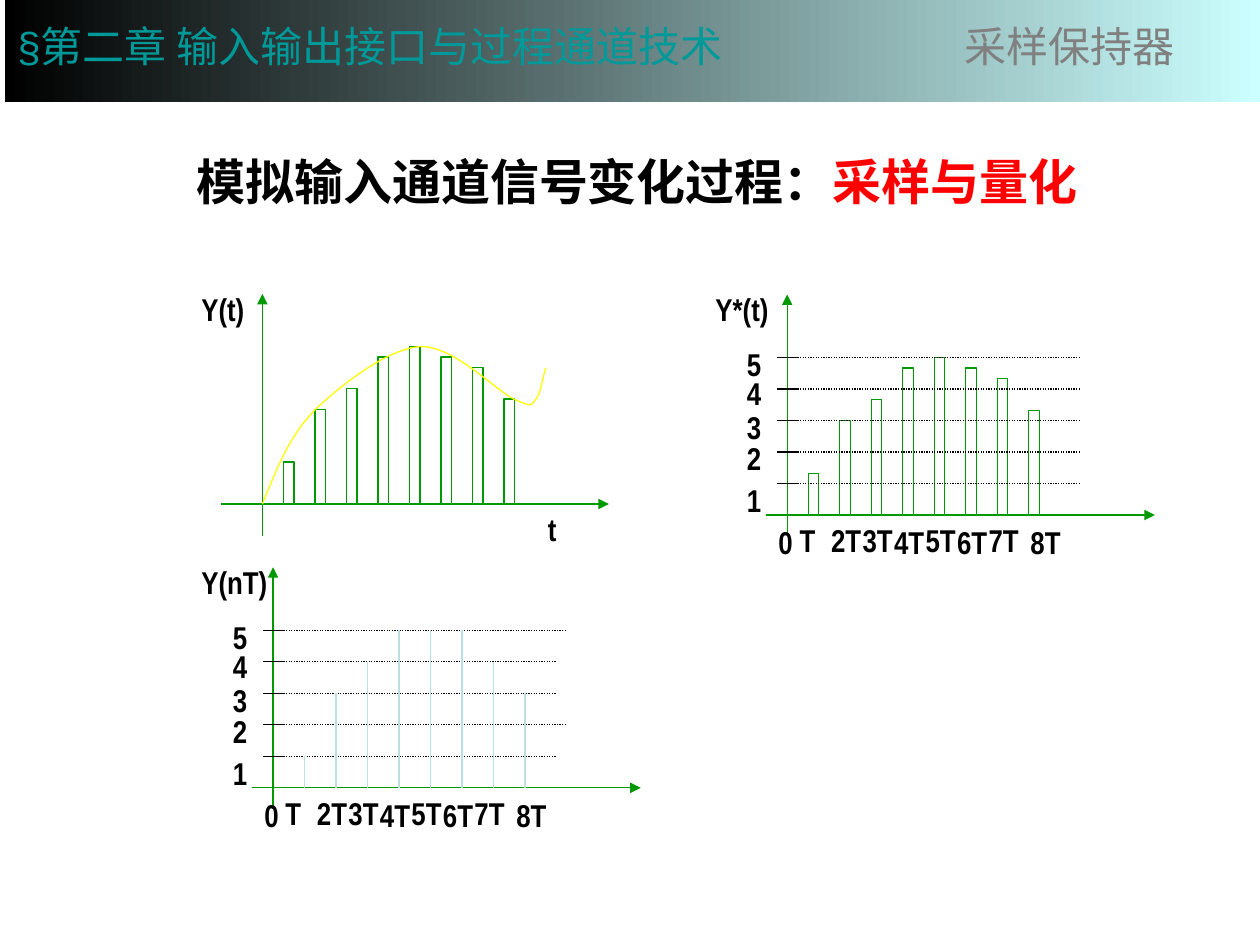
import dataclasses

import pptx
import pptx.dml.color
import pptx.enum.dml
import pptx.enum.shapes
import pptx.enum.text
import pptx.oxml
import pptx.oxml.ns
import pptx.util
from lxml import etree

RGB = pptx.dml.color.RGBColor
BLACK = RGB(0x00, 0x00, 0x00)
RED = RGB(0xFF, 0x00, 0x00)
GREEN = RGB(0x00, 0x99, 0x00)
YELLOW = RGB(0xFF, 0xFF, 0x00)
PALE_BLUE = RGB(0xBB, 0xE0, 0xE3)
PALE_CYAN = RGB(0xCC, 0xFF, 0xFF)
TEAL = RGB(0x00, 0x99, 0x99)
GRAY = RGB(0x80, 0x80, 0x80)

Inches = pptx.util.Inches
Pt = pptx.util.Pt
CELL = 0.25
LABEL_HEIGHT = 0.4
SAMPLES = (1.33, 3, 3.67, 4.67, 5, 4.67, 4.33, 3.33)
QUANTIZED = (1, 3, 4, 5, 5, 5, 4, 3)
LEVEL_LABEL_ROWS = (1.28, 2.6, 3.6, 4.68, 5.6)
SIGNAL_CURVE = (
    ((0, 0), (0.44, 1.08), (0.84, 2.16), (1.68, 3)),
    ((1.68, 3), (2.52, 3.8), (3.96, 4.92), (5, 5)),
    ((5, 5), (6.08, 5.04), (7.4, 3.6), (8, 3.32)),
    ((8, 3.32), (8.64, 3.04), (8.52, 3.16), (8.68, 3.32)),
    ((8.68, 3.32), (8.84, 3.48), (8.92, 4.16), (9, 4.32)),
)


@dataclasses.dataclass
class Plot:
    """A plot whose columns and rows are counted from its origin."""

    shapes: object
    left: float
    top: float
    origin_col: float
    origin_row: float

    def x(self, col):
        """Return the horizontal place of a column."""
        return Inches(self.left + (self.origin_col + col) * CELL)

    def y(self, row):
        """Return the vertical place of a row, counted upwards."""
        return Inches(self.top + (self.origin_row - row) * CELL)


def add_line(plot, start, end, color, dash=None, arrow=False):
    """Draw a straight line between two grid points."""
    line = plot.shapes.add_connector(
        pptx.enum.shapes.MSO_CONNECTOR.STRAIGHT,
        plot.x(start[0]), plot.y(start[1]), plot.x(end[0]), plot.y(end[1]))
    line.line.color.rgb = color
    line.line.width = Pt(0.75)
    if dash:
        line.line.dash_style = dash
    if arrow:
        etree.SubElement(line.line._get_or_add_ln(),
                         pptx.oxml.ns.qn("a:tailEnd"), type="triangle")
    etree.SubElement(line._element.spPr, pptx.oxml.ns.qn("a:effectLst"))


def add_label(plot, col, row, width, text):
    """Write a bold label with its top left corner at a grid point."""
    label = plot.shapes.add_textbox(
        plot.x(col), plot.y(row), Inches(width), Inches(LABEL_HEIGHT))
    label.text_frame.word_wrap = True
    caption = label.text_frame.paragraphs[0]
    caption.text = text
    caption.font.name = "Arial Narrow"
    caption.font.size = Pt(18)
    caption.font.bold = True
    caption.font.color.rgb = BLACK


def add_axes(plot, name, left_col, right_col, bottom_row, top_row):
    """Draw both axes and the name of the vertical one."""
    add_line(plot, (left_col, 0), (right_col, 0), GREEN, arrow=True)
    add_line(plot, (0, bottom_row), (0, top_row), GREEN, arrow=True)
    add_label(plot, -plot.origin_col, plot.origin_row, 1.25, name)


def add_pulses(plot):
    """Draw the sampled pulses as outlined bars."""
    for period, height in enumerate(SAMPLES):
        pulse = plot.shapes.add_shape(
            pptx.enum.shapes.MSO_SHAPE.RECTANGLE,
            plot.x(period + 0.67), plot.y(height),
            Inches(CELL / 3), Inches(height * CELL))
        pulse.shadow.inherit = False
        pulse.fill.background()
        pulse.line.color.rgb = GREEN
        pulse.line.width = Pt(0.75)


def add_scales(plot, guide_ends):
    """Label the periods and levels, with a tick and a guide per level."""
    add_label(plot, -0.67, -0.05, 0.33, "0")
    add_label(plot, 0, 0, 0.42, "T")
    for period in range(2, 9):
        col = 7.33 if period == 8 else period - 1
        row = -0.05 if period in (4, 6, 8) else 0
        add_label(plot, col, row, 0.58, f"{period}T")
    levels = zip(LEVEL_LABEL_ROWS, guide_ends)
    for level, (label_row, guide_end) in enumerate(levels, start=1):
        add_line(plot, (-0.33, level), (0.33, level), BLACK)
        add_line(plot, (0, level), (guide_end, level), BLACK,
                 dash=pptx.enum.dml.MSO_LINE.ROUND_DOT)
        add_label(plot, -1.67, label_row, 0.33, str(level))


def bezier(points, share):
    """Return the point at a share of a cubic curve."""
    rest = 1 - share
    weights = (rest ** 3, 3 * rest ** 2 * share,
               3 * rest * share ** 2, share ** 3)
    return tuple(sum(weight * point[axis]
                     for weight, point in zip(weights, points))
                 for axis in (0, 1))


def add_signal(plot, steps=12):
    """Draw the continuous signal."""
    track = [bezier(part, step / steps)
             for part in SIGNAL_CURVE for step in range(1, steps + 1)]
    builder = plot.shapes.build_freeform(plot.x(0), plot.y(0))
    builder.add_line_segments(
        [(plot.x(col), plot.y(row)) for col, row in track], close=False)
    signal = builder.convert_to_shape()
    signal.shadow.inherit = False
    signal.fill.background()
    signal.line.color.rgb = YELLOW
    signal.line.width = Pt(0.75)


def add_analog_plot(slide, left, top):
    """Place the analog signal with its sampling pulses."""
    plot = Plot(slide.shapes.add_group_shape().shapes, left, top, 2.33, 7)
    add_axes(plot, "Y(t)", -1.33, 11, -1, 6.67)
    add_pulses(plot)
    add_signal(plot)
    add_label(plot, 8.67, 0, 0.58, "t")


def add_sampled_plot(slide, left, top):
    """Place the sampled signal against the levels."""
    plot = Plot(slide.shapes.add_group_shape().shapes, left, top, 2.67, 7.35)
    add_axes(plot, "Y*(t)", -0.67, 11.67, -0.67, 7)
    add_pulses(plot)
    add_scales(plot, (9.33,) * 5)


def add_quantized_plot(slide, left, top):
    """Place the quantized signal as stems on whole levels."""
    plot = Plot(slide.shapes.add_group_shape().shapes, left, top, 2.67, 7.33)
    add_axes(plot, "Y(nT)", -0.67, 11.67, -0.67, 7)
    add_scales(plot, (9, 9.33, 9, 9, 9.33))
    for period, level in enumerate(QUANTIZED, start=1):
        add_line(plot, (period, level), (period, 0), PALE_BLUE)


def add_runs(paragraph, parts):
    """Add coloured runs to a paragraph."""
    for text, color in parts:
        run = paragraph.add_run()
        run.text = text
        run.font.color.rgb = color


def add_heading(slide, left, top, width, height):
    """Place the heading in the title placeholder."""
    heading = slide.shapes.title
    heading.left, heading.top = Inches(left), Inches(top)
    heading.width, heading.height = Inches(width), Inches(height)
    frame = heading.text_frame
    frame.vertical_anchor = pptx.enum.text.MSO_ANCHOR.TOP
    frame.auto_size = pptx.enum.text.MSO_AUTO_SIZE.NONE
    line = frame.paragraphs[0]
    line.alignment = pptx.enum.text.PP_ALIGN.LEFT
    line.font.name = "Arial Narrow"
    line.font.size = Pt(28)
    line.font.bold = True
    add_runs(line, (("模拟输入通道信号变化过程：", BLACK), ("采样与量化", RED)))


def add_banner(slide, left, top, width, height):
    """Place the gradient banner with the chapter and the topic."""
    banner = slide.shapes.add_shape(
        pptx.enum.shapes.MSO_SHAPE.RECTANGLE,
        Inches(left), Inches(top), Inches(width), Inches(height))
    banner.shadow.inherit = False
    banner.line.fill.background()
    banner.fill.gradient()
    banner.fill.gradient_angle = 0
    for stop, color in zip(banner.fill.gradient_stops, (BLACK, PALE_CYAN)):
        stop.color.rgb = color
    banner.text_frame.vertical_anchor = pptx.enum.text.MSO_ANCHOR.MIDDLE
    line = banner.text_frame.paragraphs[0]
    line.alignment = pptx.enum.text.PP_ALIGN.LEFT
    tabs = etree.SubElement(line._p.get_or_add_pPr(), pptx.oxml.ns.qn("a:tabLst"))
    etree.SubElement(tabs, pptx.oxml.ns.qn("a:tab"),
                     pos=str(Inches(width * 0.755)), algn="l")
    line.font.name = "Arial"
    line.font.size = Pt(24)
    add_runs(line, (("§第二章 输入输出接口与过程通道技术\t", TEAL), ("采样保持器", GRAY)))


def main():
    """Build the slide and save it."""
    deck = pptx.Presentation()
    deck.slide_width, deck.slide_height = Inches(10), Inches(7.5)
    slide = deck.slides.add_slide(deck.slide_layouts[5])
    add_heading(slide, 1.46, 1.15, 7.83, 0.57)
    add_analog_plot(slide, 1.5, 2.25)
    add_sampled_plot(slide, 5.58, 2.25)
    add_quantized_plot(slide, 1.5, 4.42)
    add_banner(slide, 0.04, -0.09, 9.96, 0.9)
    deck.save("out.pptx")


if __name__ == "__main__":
    main()
